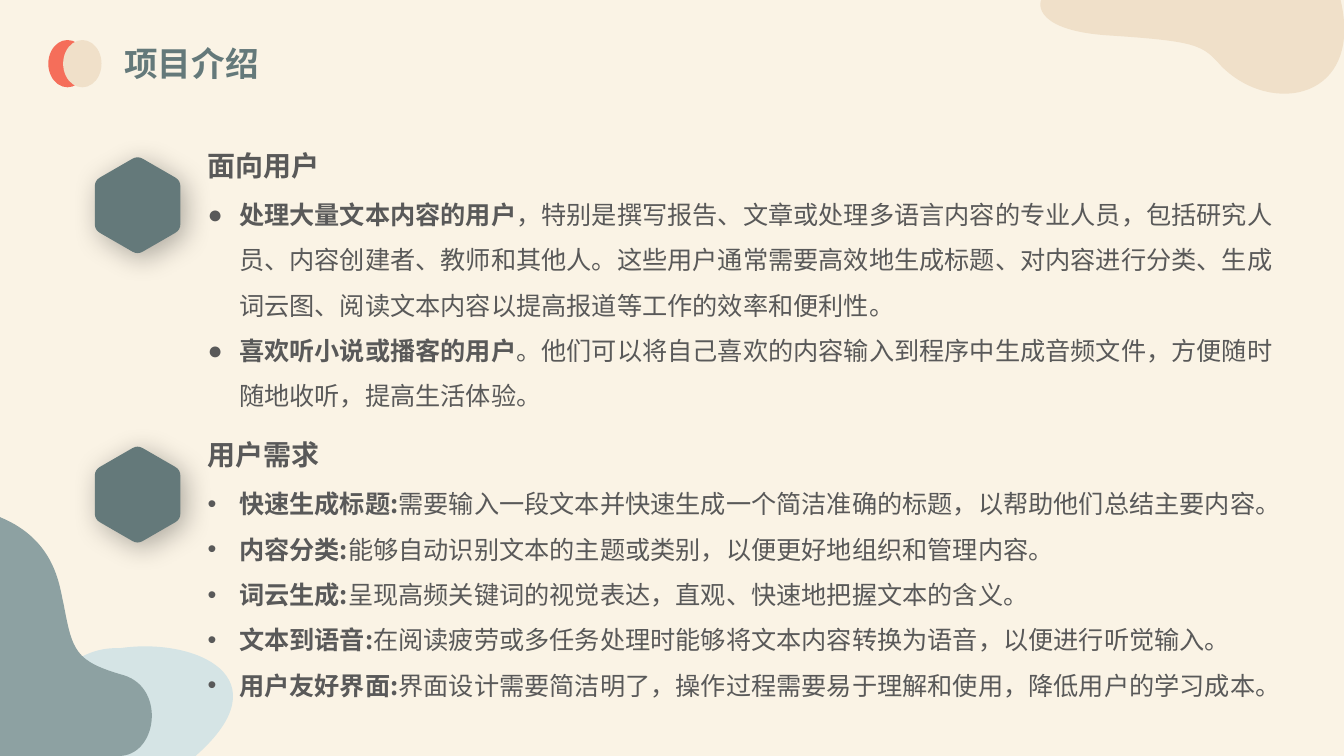
import math

import lxml.etree
import pptx
import pptx.dml.color
import pptx.enum.shapes
import pptx.enum.text
import pptx.oxml.ns
import pptx.util

Pt = pptx.util.Pt
qn = pptx.oxml.ns.qn
RGBColor = pptx.dml.color.RGBColor

CREAM = RGBColor(0xF9, 0xF1, 0xE0)
SAND = RGBColor(0xF0, 0xE0, 0xC9)
PALE_BLUE = RGBColor(0xD5, 0xE4, 0xE5)
GREY_GREEN = RGBColor(0x8D, 0xA1, 0xA2)
TEAL = RGBColor(0x64, 0x79, 0x7A)
CORAL = RGBColor(0xF5, 0x6E, 0x5A)
INK = RGBColor(0x59, 0x59, 0x59)
FONT = "Noto Sans CJK SC"

deck = pptx.Presentation()
deck.slide_width, deck.slide_height = Pt(960), Pt(540)
page = deck.slides.add_slide(deck.slide_layouts[6])

# Background, slightly transparent
page.background.fill.solid()
page.background.fill.fore_color.rgb = CREAM
tint = page.background._cSld.find(".//" + qn("a:srgbClr"))
lxml.etree.SubElement(tint, qn("a:alpha"), val="82000")


def add_outline(bounds, start, steps, color):
    """Draw a closed outline; a step is one line point or three curve points."""
    left, top, width, height = bounds
    right, bottom = left + width, top + height
    builder = page.shapes.build_freeform(Pt(left), Pt(top), scale=1.0)
    builder.add_line_segments([(Pt(right), Pt(top)), (Pt(right), Pt(bottom)),
                               (Pt(left), Pt(bottom))])
    outline = builder.convert_to_shape()

    # Swap the frame's straight sides for the lines and Bezier curves
    track = outline._element.spPr.find(".//" + qn("a:path"))
    for child in list(track):
        track.remove(child)
    for index, step in enumerate([[start], *steps]):
        kind = "a:cubicBezTo" if len(step) == 3 else "a:lnTo" if index else "a:moveTo"
        command = lxml.etree.SubElement(track, qn(kind))
        for x, y in step:
            lxml.etree.SubElement(command, qn("a:pt"), x=str(Pt(x - left)), y=str(Pt(y - top)))
    lxml.etree.SubElement(track, qn("a:close"))

    outline.shadow.inherit = False
    outline.fill.solid()
    outline.fill.fore_color.rgb = color
    outline.line.fill.background()
    return outline


def add_text(left, top, width, height, paragraphs, size, color, margins=(0, 0), bullet=None):
    """Add a text box; each paragraph is a bold lead and a plain rest."""
    box = page.shapes.add_textbox(Pt(left), Pt(top), Pt(width), Pt(height))
    side, edge = (Pt(margin) for margin in margins)
    frame_format = {"word_wrap": True, "margin_left": side, "margin_right": side,
                    "margin_top": edge, "margin_bottom": edge,
                    "auto_size": pptx.enum.text.MSO_AUTO_SIZE.SHAPE_TO_FIT_TEXT}
    for name, value in frame_format.items():
        setattr(box.text_frame, name, value)
    for index, (lead, rest) in enumerate(paragraphs):
        para = box.text_frame.add_paragraph() if index else box.text_frame.paragraphs[0]
        if bullet:
            para.line_spacing = 1.5
            properties = para._p.get_or_add_pPr()
            properties.set("marL", str(Pt(22.5)))
            properties.set("indent", str(-Pt(22.5)))
            lxml.etree.SubElement(properties, qn("a:buFont"), typeface="Arial")
            lxml.etree.SubElement(properties, qn("a:buChar"), char=bullet)
        for text, bold in ((lead, True), (rest, False)):
            if not text:
                continue
            span = para.add_run()
            span.text = text
            for name, value in {"size": Pt(size), "bold": bold, "name": FONT}.items():
                setattr(span.font, name, value)
            span.font.color.rgb = color
            lxml.etree.SubElement(span._r.get_or_add_rPr(), qn("a:ea"), typeface=FONT)


# Corner blobs
add_outline((24.5, 461.5, 141.8, 78.5), (139.7, 540),
            [[(203.8, 483.8), (139.7, 455), (85.7, 463)],
             [(35.3, 460.8), (10.8, 527), (31.7, 540)]], PALE_BLUE)
add_outline((0, 369.4, 108.7, 170.6), (0, 540),
            [[(84.2, 540)],
             [(112.3, 540.7), (118.8, 491.8), (88.6, 482.4)],
             [(53.3, 472.3), (51.8, 465.1), (45.4, 431.3)],
             [(42.5, 419.8), (40.3, 385.9), (0, 369.4)]], GREY_GREEN)
add_outline((743.2, 0, 216.7, 67), (957.6, 0),
            [[(743.8, 0)],
             [(743.8, -1.4), (733.7, 20.9), (789.8, 25.2)],
             [(856.8, 29.5), (859, 32.4), (872.6, 47.5)],
             [(908.6, 83.5), (974.2, 70.6), (957.6, 0)]], SAND)

# Title with its two overlapping ovals
add_text(83.9, 27.7, 161, 34.5, [("项目介绍", "")], 24, TEAL, margins=(5, 2.8))
for left, color in ((34.5, CORAL), (45.1, SAND)):
    oval = page.shapes.add_shape(pptx.enum.shapes.MSO_SHAPE.OVAL,
                                 Pt(left), Pt(28.6), Pt(27.4), Pt(33.8))
    oval.shadow.inherit = False
    oval.fill.solid()
    oval.fill.fore_color.rgb = color
    oval.line.fill.background()

# Sections: top of hexagon, heading, bullet, body width, body paragraphs
sections = [
    (112.3, "面向用户", "●", 763.2, [
        ("处理大量文本内容的用户",
         "，特别是撰写报告、文章或处理多语言内容的专业人员，包括研究人员、内容创建者、教师和其他人。"
         "这些用户通常需要高效地生成标题、对内容进行分类、生成词云图、阅读文本内容以提高报道等工作的效率和便利性。"),
        ("喜欢听小说或播客的用户",
         "。他们可以将自己喜欢的内容输入到程序中生成音频文件，方便随时随地收听，提高生活体验。"),
    ]),
    (319, "用户需求", "•", 824.4, [
        ("快速生成标题:", "需要输入一段文本并快速生成一个简洁准确的标题，以帮助他们总结主要内容。"),
        ("内容分类:", "能够自动识别文本的主题或类别，以便更好地组织和管理内容。"),
        ("词云生成:", "呈现高频关键词的视觉表达，直观、快速地把握文本的含义。"),
        ("文本到语音:", "在阅读疲劳或多任务处理时能够将文本内容转换为语音，以便进行听觉输入。"),
        ("用户友好界面:", "界面设计需要简洁明了，操作过程需要易于理解和使用，降低用户的学习成本。"),
    ]),
]
RADIUS, CORNER_CUT = 35.3, 0.12
for top, heading, bullet, width, paragraphs in sections:
    add_text(148.3, top + 19.2, width, 163.4, paragraphs, 18, INK, bullet=bullet)
    add_text(148.3, top - 6.5, 116, 24.5, [(heading, "")], 20, INK)

    # Hexagon with rounded corners
    corners = [(98.3 + RADIUS * math.sin(k * math.pi / 3),
                top + 34.3 - RADIUS * math.cos(k * math.pi / 3)) for k in range(6)]
    steps = []
    for k, corner in enumerate(corners):
        before, after = corners[k - 1], corners[(k + 1) % 6]
        enter, ease_in, ease_out, leave = [
            tuple(c + share * (n - c) for c, n in zip(corner, neighbour))
            for neighbour, share in ((before, CORNER_CUT), (before, CORNER_CUT / 3),
                                     (after, CORNER_CUT / 3), (after, CORNER_CUT))]
        steps += [[enter], [ease_in, ease_out, leave]]
    hexagon = add_outline((67.7, top, 61.2, 68.6), steps[0][0], steps[1:], TEAL)

    # Soft shadow to the lower right
    effects = hexagon._element.spPr.find(qn("a:effectLst"))
    shadow = lxml.etree.SubElement(effects, qn("a:outerShdw"), blurRad=str(Pt(20)),
                                   dist=str(Pt(5)), dir="2700000", algn="tl", rotWithShape="0")
    shade = lxml.etree.SubElement(shadow, qn("a:srgbClr"), val="000000")
    lxml.etree.SubElement(shade, qn("a:alpha"), val="30000")

deck.save("out.pptx")
